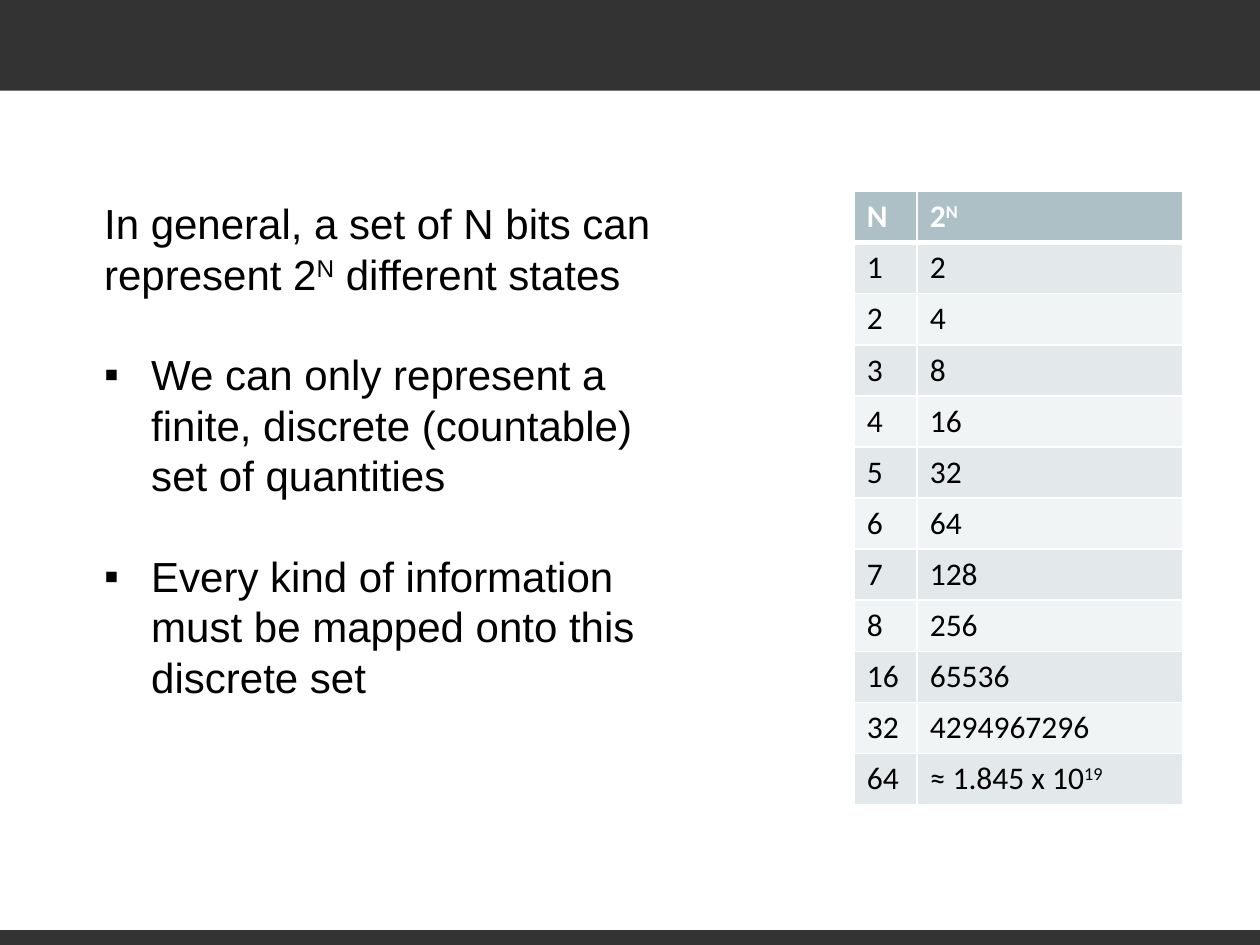
import pptx
import pptx.dml.color
import pptx.enum.shapes
import pptx.oxml
import pptx.oxml.ns
import pptx.util

Cm, Pt = pptx.util.Cm, pptx.util.Pt
RGB = pptx.dml.color.RGBColor
DARK = RGB(0x33, 0x33, 0x33)
BLACK = RGB(0, 0, 0)
WHITE = RGB(0xFF, 0xFF, 0xFF)
HEAD = RGB(0xAC, 0xC0, 0xC6)
BANDS = RGB(0xF1, 0xF4, 0xF5), RGB(0xE3, 0xE8, 0xEA)

WIDE, HIGH = 25.4, 19.05
BARS = [(0, 1.83), (18.75, 0.3)]  # top, height

# A text is a list of pieces; every second piece is raised.
INTRO = ["In general, a set of N bits can represent 2", "N", " different states"]
POINTS = [
    ["We can only represent a finite, discrete (countable) set of quantities"],
    ["Every kind of information must be mapped onto this discrete set"],
]
ROWS = [(["N"], ["2", "N"])]
ROWS += [([str(n)], [str(2 ** n)]) for n in (*range(1, 9), 16, 32)]
ROWS += [(["64"], ["≈ 1.845 x 10", "19"])]
COLS = [1.27, 5.36]
ROW = 1.03

BODY = {"name": "Arial", "size": Pt(24), "color": BLACK}
CELL = {"name": "Calibri", "size": Pt(18), "color": BLACK, "bold": False}
TITLE = {**CELL, "color": WHITE, "bold": True}
LINE = Pt(28.8)


def write(para, parts, style):
    for i, part in enumerate(parts):
        run = para.add_run()
        run.text = part
        for key, val in style.items():
            if key == "color":
                run.font.color.rgb = val
            else:
                setattr(run.font, key, val)
        if i % 2:
            run.font._element.set("baseline", "30000")


def bullet(para):
    props = para._p.get_or_add_pPr()
    props.set("marL", str(Cm(0.95)))
    props.set("indent", str(-Cm(0.95)))
    for tag, key, val in [("buFont", "typeface", "Arial"), ("buChar", "char", "▪")]:
        node = props.makeelement(pptx.oxml.ns.qn("a:" + tag), {key: val})
        props.append(node)


def edge(cell, row):
    """Draw white cell borders, thick below the header row."""
    props = cell._tc.get_or_add_tcPr()
    thick = {"T": row == 1, "B": row == 0}
    for side in "LRTB":
        size = Pt(3 if thick.get(side) else 1)
        props.append(pptx.oxml.parse_xml(
            f'<a:ln{side} {pptx.oxml.ns.nsdecls("a")} w="{size}"><a:solidFill>'
            f'<a:srgbClr val="{WHITE}"/></a:solidFill></a:ln{side}>'))


def main():
    deck = pptx.Presentation()
    deck.slide_width, deck.slide_height = Cm(WIDE), Cm(HIGH)
    shapes = deck.slides.add_slide(deck.slide_layouts[6]).shapes

    for top, high in BARS:
        bar = shapes.add_shape(pptx.enum.shapes.MSO_SHAPE.RECTANGLE,
                               0, Cm(top), Cm(WIDE), Cm(high))
        bar.shadow.inherit = False
        bar.fill.solid()
        bar.fill.fore_color.rgb = DARK
        bar.line.fill.background()

    frame = shapes.add_textbox(Cm(1.85), Cm(3.86), Cm(11.81), Cm(10.52)).text_frame
    frame.word_wrap = True
    para = frame.paragraphs[0]
    para.line_spacing = LINE
    write(para, INTRO, BODY)
    for parts in POINTS:
        para = frame.add_paragraph()
        para.line_spacing = para.space_before = LINE
        bullet(para)
        write(para, parts, BODY)

    table = shapes.add_table(len(ROWS), len(COLS), Cm(17.22), Cm(3.86),
                             Cm(sum(COLS)), Cm(ROW * len(ROWS))).table
    for col, wide in zip(table.columns, COLS):
        col.width = Cm(wide)
    for r, row in enumerate(ROWS):
        table.rows[r].height = Cm(ROW)
        for c, parts in enumerate(row):
            cell = table.cell(r, c)
            edge(cell, r)
            cell.fill.solid()
            cell.fill.fore_color.rgb = BANDS[r % 2] if r else HEAD
            write(cell.text_frame.paragraphs[0], parts, CELL if r else TITLE)

    deck.save("out.pptx")


if __name__ == "__main__":
    main()
